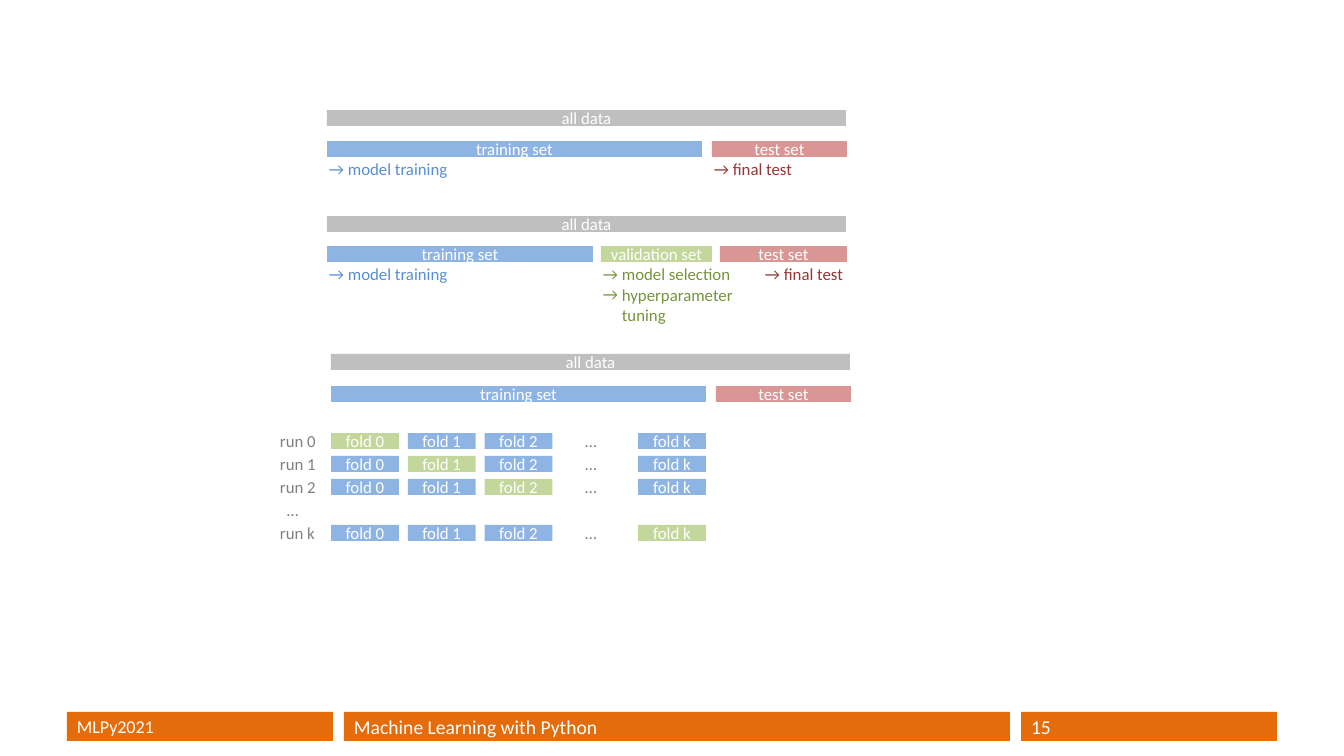
from lxml import etree
from pptx import Presentation
from pptx.dml.color import RGBColor
from pptx.enum.shapes import MSO_SHAPE
from pptx.enum.text import MSO_ANCHOR, MSO_AUTO_SIZE, PP_ALIGN
from pptx.oxml.ns import qn
from pptx.util import Emu, Pt

RECTANGLE = MSO_SHAPE.RECTANGLE
MIDDLE, TOP = MSO_ANCHOR.MIDDLE, MSO_ANCHOR.TOP
LEFT, CENTER = PP_ALIGN.LEFT, PP_ALIGN.CENTER
FIT_SHAPE = MSO_AUTO_SIZE.SHAPE_TO_FIT_TEXT
EMU_PER_PX = 914400 / 100.8

THEME = {
    "font": "Calibri", "size": 12, "footer_size": 14, "footer_small": 12.9,
    "white": "FFFFFF", "footer": "E46C0A", "label": "808080",
    "all": "BFBFBF", "train": "8EB4E3", "valid": "C3D69B", "test": "D99694",
    "train_note": "558ED5", "valid_note": "77933C", "test_note": "953735",
}

# Content: bars are (text, color, left, width), all lengths in px
SPLITS = [
    (110, 141, 327, [("training set", "train", 327, 375),
                     ("test set", "test", 712, 135)]),
    (216, 246, 327, [("training set", "train", 327, 266),
                     ("validation set", "valid", 601, 111),
                     ("test set", "test", 720, 127)]),
    (354, 386, 331, [("training set", "train", 331, 375),
                     ("test set", "test", 716, 135)]),
]
ALL_DATA, ALL_WIDTH, BAR_HEIGHT = "all data", 519, 16
# Notes: (text, color, left, top, width, bulleted)
NOTES = [
    ("→ model training", "train_note", 319, 154, 238, False),
    ("→ final test", "test_note", 704, 154, 112, False),
    ("→ model training", "train_note", 319, 259, 238, False),
    ("→ model selection", "valid_note", 593, 259, 162, False),
    ("hyperparameter tuning", "valid_note", 593, 280, 162, True),
    ("→ final test", "test_note", 755, 259, 112, False),
]
FOLDS = ["fold 0", "fold 1", "fold 2", "…", "fold k"]
RUNS = [("run 0", 0), ("run 1", 1), ("run 2", 2), ("…", None), ("run k", 4)]
FOLD_LEFT, FOLD_TOP, FOLD_WIDTH, ROW_PITCH = 331, 433, 68, 23
FOLD_PITCH = (375 - FOLD_WIDTH) / (len(FOLDS) - 1)
FOOTER = [
    ("MLPy2021", 67, 266, "footer_small"),
    ("Machine Learning with Python", 344, 666, "footer_size"),
    ("15", 1021, 256, "footer_size"),
]


def px(length):
    return Emu(round(length * EMU_PER_PX))


def apply(target, values):
    for name, value in values.items():
        setattr(target, name, value)


def write(shape, text, color, size="size", align=LEFT, frame_format=None):
    apply(shape.text_frame, frame_format or {})
    paragraph = shape.text_frame.paragraphs[0]
    paragraph.alignment = align
    run = paragraph.add_run()
    run.text = text
    apply(run.font, {"name": THEME["font"], "size": Pt(THEME[size])})
    run.font.color.rgb = RGBColor.from_string(THEME[color])
    return paragraph


def add_bar(slide, text, fill, left, top, width, height=BAR_HEIGHT,
            size="size", align=CENTER, inset=10):
    shape = slide.shapes.add_shape(RECTANGLE, px(left), px(top), px(width), px(height))
    shape.shadow.inherit = False
    shape.fill.solid()
    shape.fill.fore_color.rgb = RGBColor.from_string(THEME[fill])
    shape.line.fill.background()
    write(shape, text, "white", size, align, {
        "vertical_anchor": MIDDLE, "word_wrap": True,
        "margin_left": px(inset), "margin_right": px(inset)})


def add_text(slide, text, color, left, top, width, height=30, wrap=False):
    box = slide.shapes.add_textbox(px(left), px(top), px(width), px(height))
    return write(box, text, color, frame_format={
        "vertical_anchor": TOP, "word_wrap": wrap, "auto_size": FIT_SHAPE})


def add_arrow_bullet(paragraph):
    properties = paragraph._p.get_or_add_pPr()
    indent = px(19)
    properties.set("marL", str(indent))
    properties.set("indent", str(-indent))
    etree.SubElement(properties, qn("a:buFont")).set("typeface", THEME["font"])
    etree.SubElement(properties, qn("a:buChar")).set("char", "→")


def main():
    presentation = Presentation()
    apply(presentation, {"slide_width": px(1344), "slide_height": px(756)})
    slide = presentation.slides.add_slide(presentation.slide_layouts[6])

    # Footer
    for text, left, width, size in FOOTER:
        add_bar(slide, text, "footer", left, 712, width, 29, size, LEFT)

    # Data splits
    for all_top, parts_top, all_left, parts in SPLITS:
        add_bar(slide, ALL_DATA, "all", all_left, all_top, ALL_WIDTH)
        for text, fill, left, width in parts:
            inset = 4 if fill == "valid" else 10
            add_bar(slide, text, fill, left, parts_top, width, inset=inset)

    # Purpose of each part
    for text, color, left, top, width, bulleted in NOTES:
        height = 50 if bulleted else 30
        paragraph = add_text(slide, text, color, left, top, width, height, True)
        if bulleted:
            add_arrow_bullet(paragraph)

    # Cross-validation runs: the held-out fold is green
    for row, (run_label, held_out) in enumerate(RUNS):
        top = FOLD_TOP + row * ROW_PITCH
        skipped = held_out is None
        add_text(slide, run_label, "label", 277 if skipped else 270, top - 7,
                 33 if skipped else 56)
        if skipped:
            continue
        for column, fold in enumerate(FOLDS):
            left = FOLD_LEFT + column * FOLD_PITCH
            if fold == "…":
                add_text(slide, fold, "label", left + 14, top - 7, 33)
            else:
                fill = "valid" if column == held_out else "train"
                add_bar(slide, fold, fill, left, top, FOLD_WIDTH)

    presentation.save("out.pptx")


if __name__ == "__main__":
    main()
